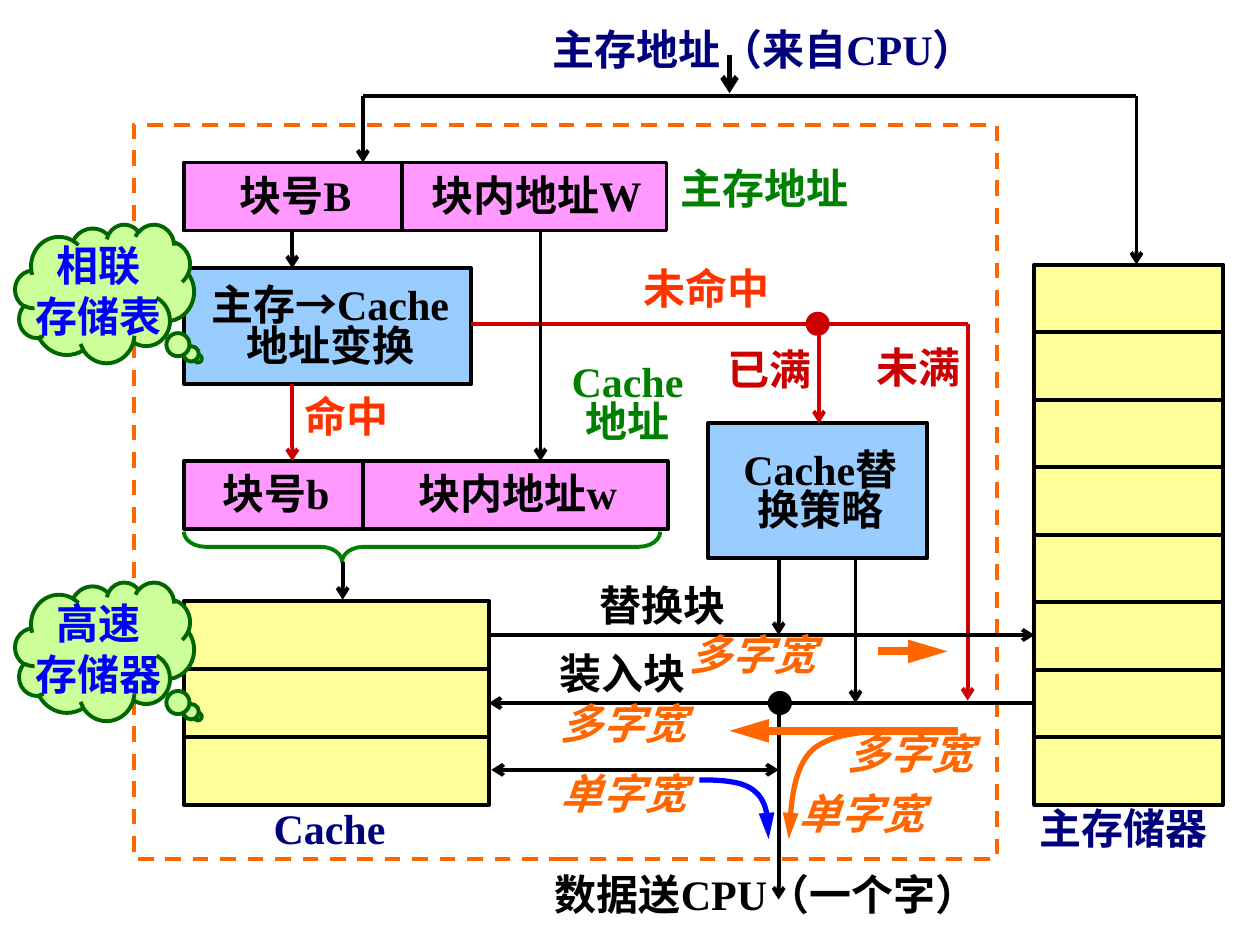
from pptx import Presentation
from pptx import util as u
from pptx.dml.color import RGBColor
from pptx.enum import dml, shapes, text
from pptx.oxml import ns
from lxml import etree

WIDTH, HEIGHT = u.Inches(10), u.Inches(7.5)
COLUMNS, ROWS = 10, 7.5
BLACK, RED, SCARLET, ORANGE = "000000", "CC0000", "FF3300", "FF6600"
NAVY, BLUE, GREEN, DARK_GREEN = "00007D", "0000FF", "008000", "006600"
PINK, SKY, YELLOW, LIME = "FF99FF", "99CCFF", "FFFF99", "CCFF99"
LATIN, CHINESE = "Times New Roman", "Noto Sans CJK SC"
HEAD_LENGTHS = {"arrow": "med", "triangle": "lg"}
CELL = 0.54
MEMORY_LEFT, MEMORY_TOP, MEMORY_CELL = 8.21, 2.1, 0.536
CACHE_LEFT, CACHE_TOP, CACHE_WIDTH = 1.46, 4.77, 2.42


def column(number):
    return round(WIDTH * number / COLUMNS)


def row(number):
    return round(HEIGHT * number / ROWS)


def place(left, top, width, height):
    return column(left), row(top), column(width), row(height)


def color(value):
    return RGBColor.from_string(value)


def add_child(parent, tag, **attributes):
    return etree.SubElement(parent, ns.qn(tag), attributes)


def style_line(line, value, weight=2.25, head=None, tail=None):
    line.color.rgb = color(value)
    line.width = u.Pt(weight)
    properties = line._get_or_add_ln()
    for tag, kind in (("a:headEnd", head), ("a:tailEnd", tail)):
        if kind:
            add_child(properties, tag, type=kind, len=HEAD_LENGTHS[kind])


def write(shape, content, value=BLACK, italic=False, spacing=0.8,
          align=text.PP_ALIGN.CENTER, insets=(0.08, 0.04, 0.04, 0)):
    frame = shape.text_frame
    frame.word_wrap = False
    frame.vertical_anchor = text.MSO_ANCHOR.MIDDLE
    left, top, right, bottom = map(u.Inches, insets)
    frame.margin_left, frame.margin_top = left, top
    frame.margin_right, frame.margin_bottom = right, bottom
    paragraph = frame.paragraphs[0]
    paragraph.alignment = align
    paragraph.line_spacing = spacing
    for index, words in enumerate(content.split("\n")):
        if index:
            paragraph.add_line_break()
        run = paragraph.add_run()
        run.text = words
        font = run.font
        font.size, font.bold, font.italic = u.Pt(24), True, italic
        font.name = LATIN
        font.color.rgb = color(value)
        add_child(run._r.get_or_add_rPr(), "a:ea", typeface=CHINESE)


def add_shape(slide, kind, bounds, fill=None, line=BLACK):
    shape = slide.shapes.add_shape(kind, *place(*bounds))
    shape.shadow.inherit = False
    if fill:
        shape.fill.solid()
        shape.fill.fore_color.rgb = color(fill)
    else:
        shape.fill.background()
    style_line(shape.line, line)
    return shape


def add_box(slide, bounds, fill, content=None):
    shape = add_shape(slide, shapes.MSO_SHAPE.RECTANGLE, bounds, fill)
    if content:
        write(shape, content)


def add_label(slide, content, bounds, value=BLACK, **style):
    write(slide.shapes.add_textbox(*place(*bounds)), content, value, **style)


def add_line(slide, start, end, value=BLACK, weight=2.25, head=None, tail="arrow"):
    connector = slide.shapes.add_connector(
        shapes.MSO_CONNECTOR.STRAIGHT,
        column(start[0]), row(start[1]), column(end[0]), row(end[1]))
    style_line(connector.line, value, weight, head, tail)
    add_child(connector._element.spPr, "a:effectLst")


def bezier(points, steps=16):
    for step in range(1, steps + 1):
        t = step / steps
        weights = ((1 - t) ** 3, 3 * t * (1 - t) ** 2, 3 * t * t * (1 - t), t ** 3)
        yield tuple(sum(w * p[axis] for w, p in zip(weights, points)) for axis in (0, 1))


def add_curve(slide, points, value):
    trace = [point for first in range(0, len(points) - 1, 3)
             for point in bezier(points[first:first + 4])]
    start = points[0]
    builder = slide.shapes.build_freeform(column(start[0]), row(start[1]))
    builder.add_line_segments([(column(x), row(y)) for x, y in trace], close=False)
    shape = builder.convert_to_shape()
    shape.shadow.inherit = False
    shape.fill.background()
    style_line(shape.line, value, 3, tail="triangle")


def add_dot(slide, x, y, value):
    add_shape(slide, shapes.MSO_SHAPE.OVAL, (x - 0.08, y - 0.08, 0.16, 0.16), value, value)


def add_cloud(slide, top, content):
    cloud = add_shape(slide, shapes.MSO_SHAPE.CLOUD_CALLOUT,
                      (0.12, top, 1.42, 1.1), LIME, DARK_GREEN)
    cloud.adjustments[0], cloud.adjustments[1] = 0.522, 0.47
    write(cloud, content, BLUE, spacing=1, insets=(0.1, 0.05, 0.1, 0.05))


def add_boxes(slide):
    for content, fill, bounds in (
            ("块号B", PINK, (1.46, 1.29, 1.73, CELL)),
            ("块内地址W", PINK, (3.19, 1.29, 2.1, CELL)),
            ("主存→Cache\n地址变换", SKY, (1.46, 2.13, 2.28, 0.92)),
            ("块号b", PINK, (1.46, 3.66, 1.42, CELL)),
            ("块内地址w", PINK, (2.88, 3.66, 2.42, CELL)),
            ("Cache替\n换策略", SKY, (5.62, 3.36, 1.74, 1.07))):
        add_box(slide, bounds, fill, content)
    for index in range(3):
        add_box(slide, (CACHE_LEFT, CACHE_TOP + index * CELL, CACHE_WIDTH, CELL), YELLOW)
    for index in range(8):
        add_box(slide, (MEMORY_LEFT, MEMORY_TOP + index * MEMORY_CELL, 1.5, MEMORY_CELL), YELLOW)


def add_lines(slide):
    add_line(slide, (3.74, 2.57), (7.68, 2.57), RED, tail=None)
    add_line(slide, (2.88, 0.76), (9.02, 0.76), tail=None)
    for x, top, bottom, value in (
            (2.32, 1.82, 2.13, BLACK), (2.32, 3.05, 3.66, RED), (4.29, 1.82, 3.66, BLACK),
            (2.72, 4.46, 4.76, BLACK), (6.18, 4.43, 5.04, BLACK), (6.79, 4.43, 5.58, BLACK),
            (6.18, 5.56, 7.14, BLACK), (7.68, 2.57, 5.56, RED), (6.5, 2.57, 3.36, RED),
            (2.88, 0.76, 1.29, BLACK), (9.02, 0.76, 2.1, BLACK)):
        add_line(slide, (x, top), (x, bottom), value)
    add_line(slide, (5.79, 0.44), (5.79, 0.74), weight=3)
    cache_right = CACHE_LEFT + CACHE_WIDTH
    add_line(slide, (cache_right, 5.04), (MEMORY_LEFT, 5.04))
    add_line(slide, (MEMORY_LEFT, 5.58), (cache_right, 5.58))
    add_line(slide, (3.9, 6.11), (6.18, 6.11), head="arrow")
    for start, end, y in ((7.6, 5.79, 5.8), (6.97, 7.52, 5.17)):
        add_line(slide, (start, y), (end, y), ORANGE, 4.5, tail="triangle")
    add_curve(slide, [(7.21, 5.8), (6.91, 5.8), (6.61, 5.81), (6.45, 5.95),
                      (6.29, 6.1), (6.28, 6.38), (6.26, 6.66)], ORANGE)
    add_curve(slide, [(5.55, 6.19), (5.73, 6.19), (5.9, 6.2), (5.99, 6.28),
                      (6.09, 6.36), (6.1, 6.51), (6.1, 6.66)], BLUE)
    add_dot(slide, 6.49, 2.57, RED)
    add_dot(slide, 6.19, 5.58, BLACK)


def add_labels(slide):
    for content, value, left, top, width in (
            ("替换块", BLACK, 4.53, 4.55, 1.42), ("装入块", BLACK, 4.21, 5.09, 1.42),
            ("已满", RED, 5.63, 2.67, 0.92), ("未满", RED, 6.81, 2.66, 0.92),
            ("未命中", SCARLET, 4.84, 2.03, 1.5), ("命中", SCARLET, 2.27, 3.05, 0.92),
            ("数据送CPU（一个字）", BLACK, 4.06, 6.84, 4),
            ("主存储器", NAVY, 8.07, 6.32, 1.65), ("Cache", NAVY, 1.77, 6.32, 1.65)):
        add_label(slide, content, (left, top, width, CELL), value)
    add_label(slide, "主存地址（来自CPU）", (4.19, 0.13, 3.7, 0.47), NAVY, spacing=1)
    add_label(slide, "主存地址", (5.32, 1.24, 1.57, CELL), GREEN, align=text.PP_ALIGN.LEFT)
    add_label(slide, "Cache\n地址", (4.37, 2.8, 1.18, 0.79), GREEN)
    for content, left, top in (("单字宽", 4.22, 6.11), ("多字宽", 4.22, 5.56),
                               ("多字宽", 5.24, 5.01), ("多字宽", 6.5, 5.8),
                               ("单字宽", 6.11, 6.27)):
        add_label(slide, content, (left, top, 1.42, 0.39), ORANGE, italic=True)


def main():
    presentation = Presentation()
    presentation.slide_width, presentation.slide_height = WIDTH, HEIGHT
    slide = presentation.slides.add_slide(presentation.slide_layouts[6])
    add_boxes(slide)
    brace = add_shape(slide, shapes.MSO_SHAPE.LEFT_BRACE, (3.23, 2.45, 0.24, 3.78), line=GREEN)
    brace.rotation = 270
    brace.adjustments[0], brace.adjustments[1] = 0.713, 0.332
    frame = add_shape(slide, shapes.MSO_SHAPE.RECTANGLE, (1.06, 0.99, 6.85, 5.83), line=ORANGE)
    frame.line.dash_style = dml.MSO_LINE.DASH
    add_lines(slide)
    add_labels(slide)
    add_cloud(slide, 1.78, "相联\n存储表")
    add_cloud(slide, 4.62, "高速\n存储器")
    presentation.save("out.pptx")


if __name__ == "__main__":
    main()
